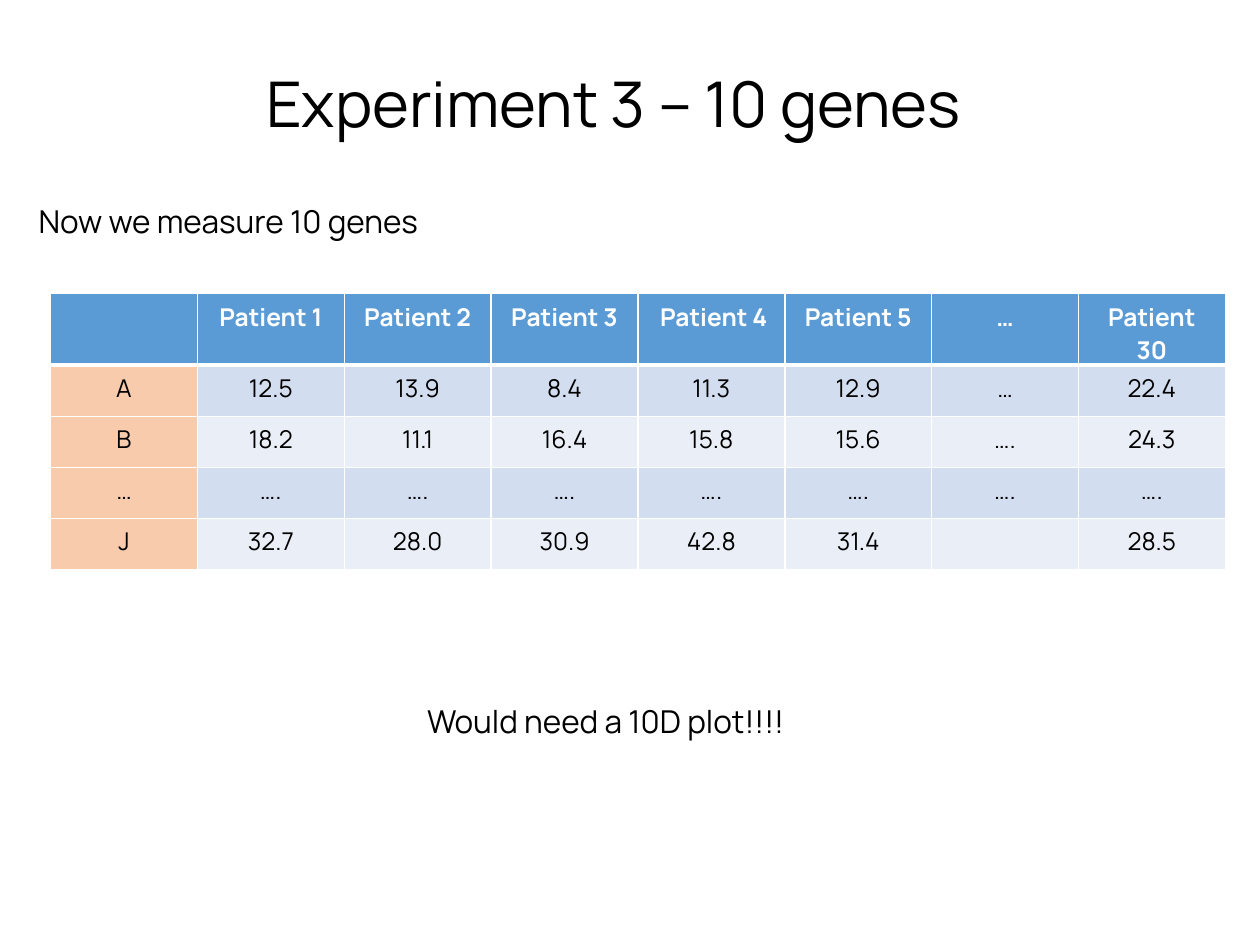
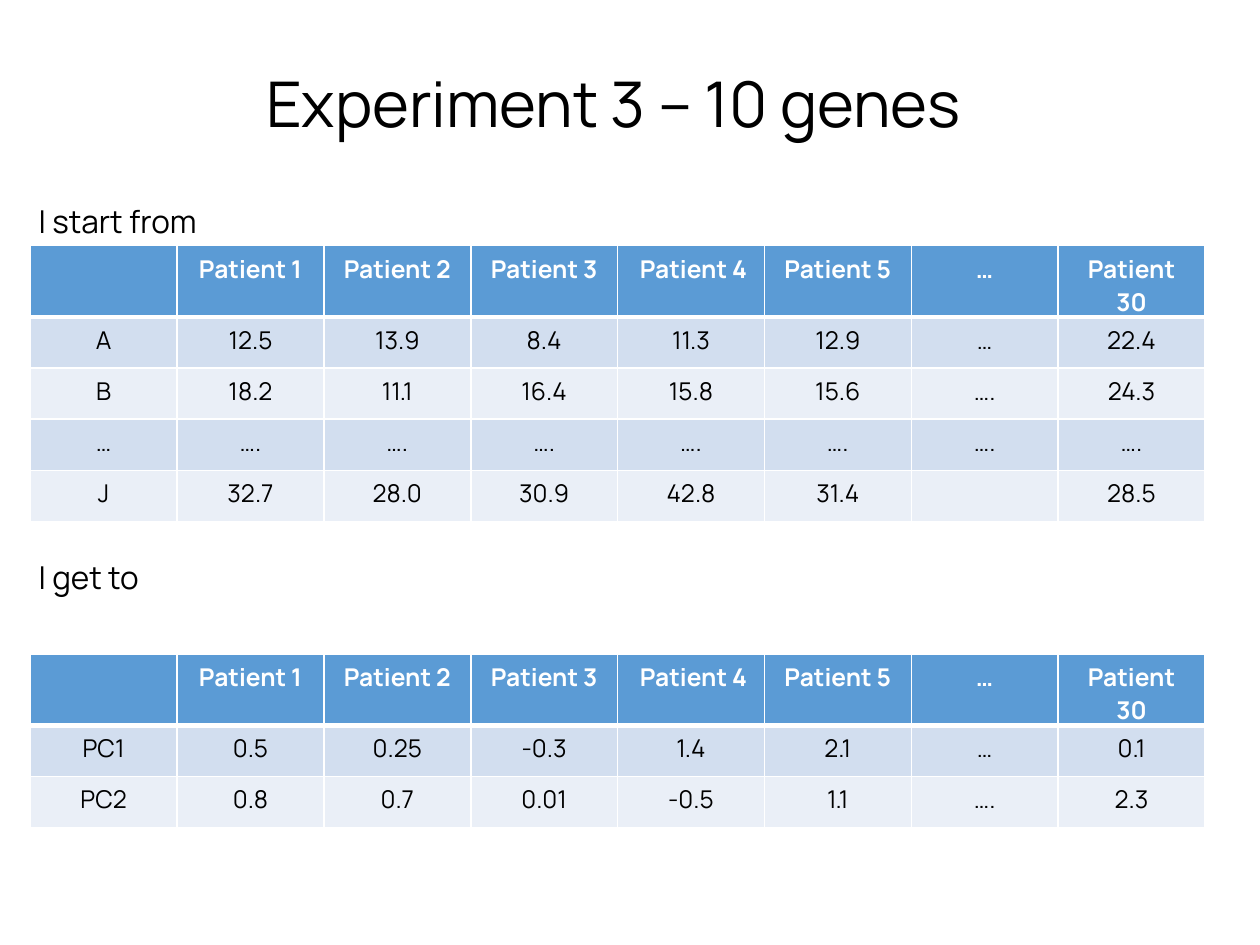
"""Builds two slides on measuring ten genes and reducing them to two components."""
from lxml import etree
from pptx import Presentation
from pptx import util as u
from pptx.dml import color
from pptx.enum import text
from pptx.oxml import ns

FONT = "Manrope"
BLACK, WHITE = "000000", "FFFFFF"
HEADER, BANDS, GENE = "5B9BD5", ("D2DEEF", "EAEFF7"), "F8CBAD"
TITLE = "Experiment 3 – 10 genes"
PATIENTS = ["", "Patient 1", "Patient 2", "Patient 3", " Patient 4", "Patient 5", "…", "Patient 30"]
GENE_A = ["A", "12.5", "13.9", "8.4", "11.3", "12.9", "…", "22.4"]
GENE_B = ["B", "18.2", "11.1", "16.4", "15.8", "15.6", "….", "24.3"]
GENE_GAP = ["…"] + ["…."] * 7
GENE_J = ["J", "32.7", "28.0", "30.9", "42.8", "31.4", "", "28.5"]
GENES = [PATIENTS, GENE_A, GENE_B, GENE_GAP, GENE_J]
COMPONENTS = [
    PATIENTS,
    ["PC1", "0.5", "0.25", "-0.3", "1.4", "2.1", "…", "0.1"],
    ["PC2", "0.8", "0.7", "0.01", "-0.5", "1.1", "….", "2.3"],
]


def rgb(code):
    return color.RGBColor.from_string(code)


class Deck:
    COLUMN, ROW = 2.96, 1.03

    def __init__(self):
        self.show = Presentation()
        self.show.slide_width, self.show.slide_height = u.Cm(25.4), u.Cm(19.05)
        self.slide = None

    def style(self, paragraph, size, ink=BLACK, bold=False, align=text.PP_ALIGN.LEFT):
        paragraph.alignment = align
        font = paragraph.font
        font.name, font.size, font.bold = FONT, u.Pt(size), bold
        font.color.rgb = rgb(ink)

    def titled_slide(self, wording):
        self.slide = self.show.slides.add_slide(self.show.slide_layouts[5])
        title = self.slide.shapes.title
        title.left, title.top, title.width, title.height = map(u.Cm, (0, 1.17, 24.74, 1.8))
        frame = title.text_frame
        frame.text = wording
        frame.auto_size = text.MSO_AUTO_SIZE.NONE
        frame.vertical_anchor = text.MSO_ANCHOR.TOP
        self.style(frame.paragraphs[0], 36, align=text.PP_ALIGN.CENTER)

    def label(self, wording, top, left=0.53, width=23.65, wrap=True):
        frame = self.slide.shapes.add_textbox(*map(u.Cm, (left, top, width, 1.02))).text_frame
        frame.text = wording
        frame.word_wrap = wrap
        frame.auto_size = text.MSO_AUTO_SIZE.SHAPE_TO_FIT_TEXT
        self.style(frame.paragraphs[0], 18)

    def borders(self, cell, top, bottom):
        properties = cell._tc.get_or_add_tcPr()
        for side, points in zip("LRTB", (1, 1, top, bottom)):
            line = etree.SubElement(properties, ns.qn(f"a:ln{side}"), w=str(u.Pt(points)))
            fill = etree.SubElement(line, ns.qn("a:solidFill"))
            etree.SubElement(fill, ns.qn("a:srgbClr"), val=WHITE)

    def table(self, rows, left, top, first_column=None):
        columns = len(rows[0])
        size = (self.COLUMN * columns, self.ROW * len(rows))
        table = self.slide.shapes.add_table(len(rows), columns, *map(u.Cm, (left, top, *size))).table
        table.horz_banding = False
        for r, values in enumerate(rows):
            is_header = r == 0
            for c, value in enumerate(values):
                cell = table.cell(r, c)
                cell.text = value
                self.style(cell.text_frame.paragraphs[0], 14, WHITE if is_header else BLACK,
                           is_header, text.PP_ALIGN.CENTER)
                self.borders(cell, 3 if r == 1 else 1, 3 if is_header else 1)
                band = HEADER if is_header else BANDS[(r - 1) % 2]
                if first_column and c == 0 and not is_header:
                    band = first_column
                cell.fill.solid()
                cell.fill.fore_color.rgb = rgb(band)


def main():
    deck = Deck()

    deck.titled_slide(TITLE)
    deck.label("Now we measure 10 genes", 3.94)
    deck.table(GENES, 1.02, 5.92, first_column=GENE)
    deck.label("Would need a 10D plot!!!!", 14.02, left=8.36, width=8, wrap=False)

    deck.titled_slide(TITLE)
    deck.label("I start from", 3.94)
    deck.table(GENES, 0.61, 4.95)
    deck.table(COMPONENTS, 0.61, 13.18)
    deck.label("I get to", 11.13)

    deck.show.save("out.pptx")


if __name__ == "__main__":
    main()
